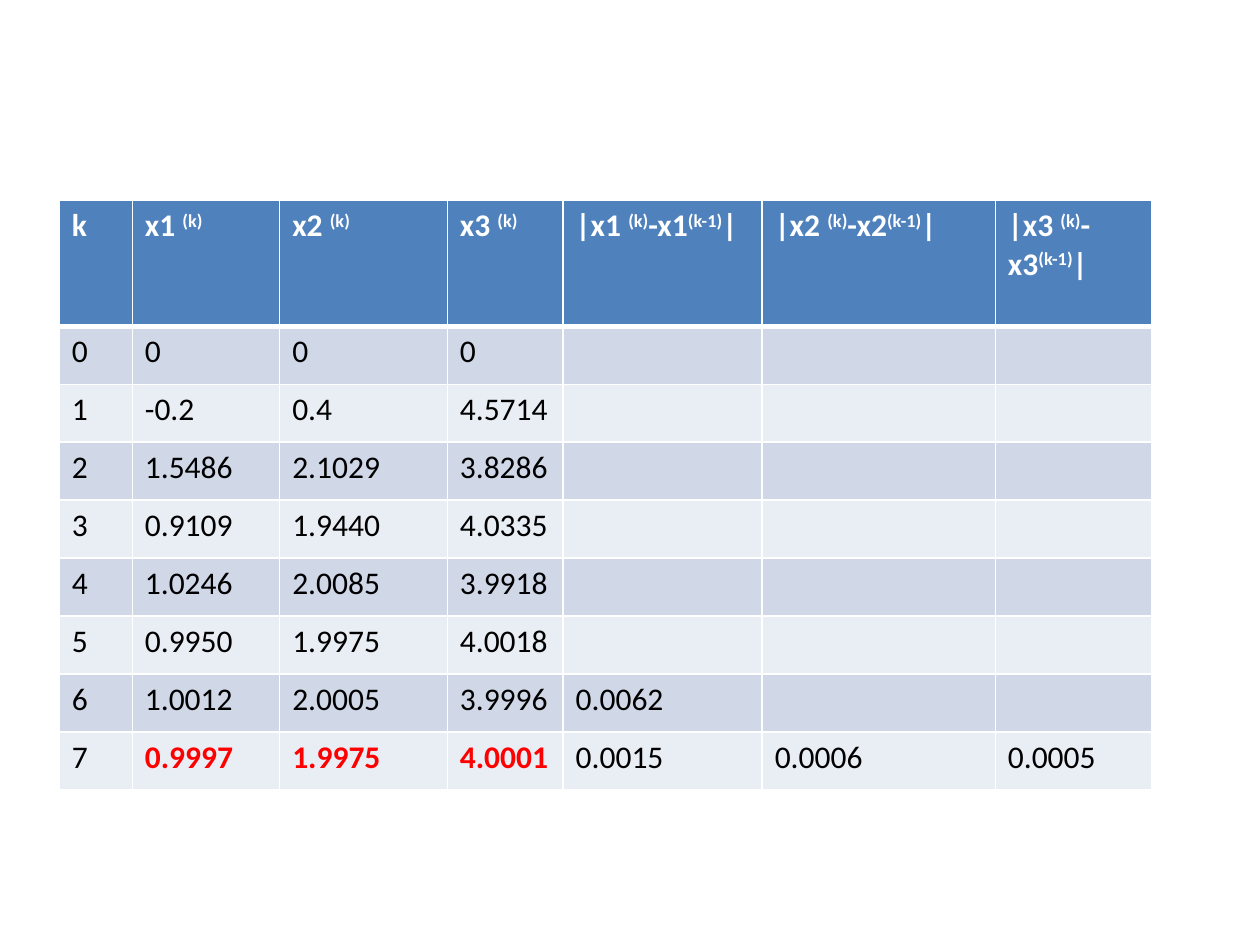
from dataclasses import dataclass

from lxml.etree import SubElement
from pptx import Presentation
from pptx.dml.color import RGBColor
from pptx.oxml.ns import qn
from pptx.util import Inches, Pt

# Content: header cells are (text, is_superscript) spans
VARIABLES = ["x1", "x2", "x3"]
HEADERS = (
    [[("k", False)]]
    + [[(f"{name} ", False), ("(k)", True)] for name in VARIABLES]
    + [[(f"|{name} ", False), ("(k)", True), (f"-{name}", False),
        ("(k-1)", True), ("|", False)] for name in VARIABLES]
)
ITERATIONS = [
    ["0", "0", "0", "0"],
    ["1", "-0.2", "0.4", "4.5714"],
    ["2", "1.5486", "2.1029", "3.8286"],
    ["3", "0.9109", "1.9440", "4.0335"],
    ["4", "1.0246", "2.0085", "3.9918"],
    ["5", "0.9950", "1.9975", "4.0018"],
    ["6", "1.0012", "2.0005", "3.9996", "0.0062"],
    ["7", "0.9997", "1.9975", "4.0001", "0.0015", "0.0006", "0.0005"],
]
SOLUTION_ROW = len(ITERATIONS)
SOLUTION_COLUMNS = range(1, 4)

# Layout in inches
LEFT, TOP = 0.47, 1.59
COLUMN_WIDTHS = [0.58, 1.17, 1.33, 0.92, 1.58, 1.85, 1.24]
HEADER_HEIGHT, ROW_HEIGHT = 1.0, 0.46


@dataclass(frozen=True)
class Theme:
    font: str = "Calibri"
    size: int = 18
    header_fill: str = "4F81BD"
    bands: tuple = ("D0D8E8", "E9EDF4")
    header_text: str = "FFFFFF"
    body_text: str = "000000"
    solution_text: str = "FF0000"
    border: str = "FFFFFF"
    thin: int = 1
    thick: int = 3


THEME = Theme()


def set_borders(cell, row):
    properties = cell._tc.get_or_add_tcPr()
    for side in "LRTB":
        under_header = (row, side) in ((0, "B"), (1, "T"))
        width = THEME.thick if under_header else THEME.thin
        line = SubElement(properties, qn(f"a:ln{side}"), w=str(Pt(width)))
        fill = SubElement(line, qn("a:solidFill"))
        SubElement(fill, qn("a:srgbClr"), val=THEME.border)


def fill_cell(cell, row, spans, fill, color, bold):
    set_borders(cell, row)
    cell.fill.solid()
    cell.fill.fore_color.rgb = RGBColor.from_string(fill)
    para = cell.text_frame.paragraphs[0]
    para.font.name = THEME.font
    para.font.size = Pt(THEME.size)
    para.font.bold = bold
    para.font.color.rgb = RGBColor.from_string(color)
    for text, superscript in spans:
        span = para.add_run()
        span.text = text
        # Direct bold and colour take priority over the table style
        span.font.bold = bold
        span.font.color.rgb = RGBColor.from_string(color)
        if superscript:
            span._r.get_or_add_rPr().set("baseline", "30000")


def main():
    deck = Presentation()
    deck.slide_width, deck.slide_height = Inches(10), Inches(7.5)
    page = deck.slides.add_slide(deck.slide_layouts[6])

    # Table grid
    heights = [HEADER_HEIGHT] + [ROW_HEIGHT] * len(ITERATIONS)
    table = page.shapes.add_table(
        len(heights), len(COLUMN_WIDTHS), Inches(LEFT), Inches(TOP),
        Inches(sum(COLUMN_WIDTHS)), Inches(sum(heights))).table
    for column, width in zip(table.columns, COLUMN_WIDTHS):
        column.width = Inches(width)
    for table_row, height in zip(table.rows, heights):
        table_row.height = Inches(height)

    # Header row
    for column, spans in enumerate(HEADERS):
        fill_cell(table.cell(0, column), 0, spans,
                  THEME.header_fill, THEME.header_text, True)

    # Iteration rows, with the final solution highlighted
    for row, values in enumerate(ITERATIONS, start=1):
        for column in range(len(COLUMN_WIDTHS)):
            spans = [(text, False) for text in values[column:column + 1]]
            solution = row == SOLUTION_ROW and column in SOLUTION_COLUMNS
            color = THEME.solution_text if solution else THEME.body_text
            fill_cell(table.cell(row, column), row, spans,
                      THEME.bands[(row - 1) % 2], color, solution)

    deck.save("out.pptx")


if __name__ == "__main__":
    main()
